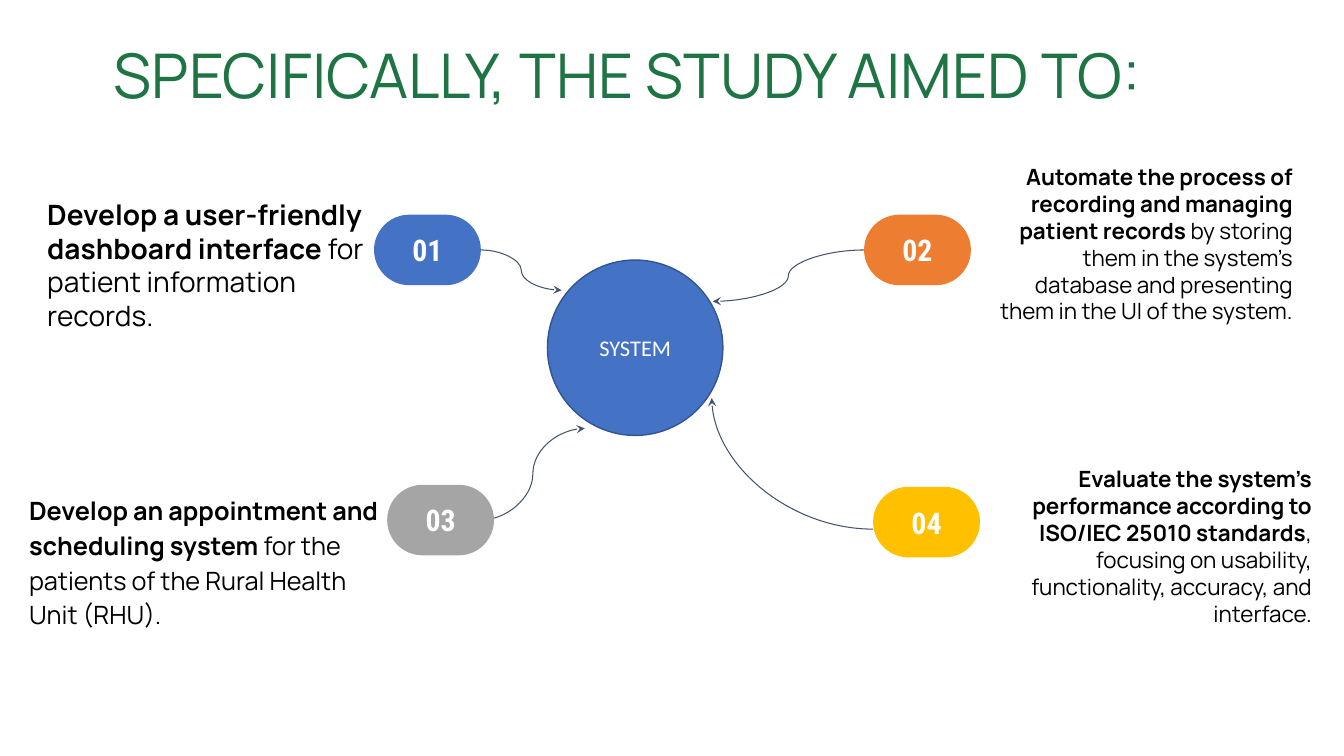
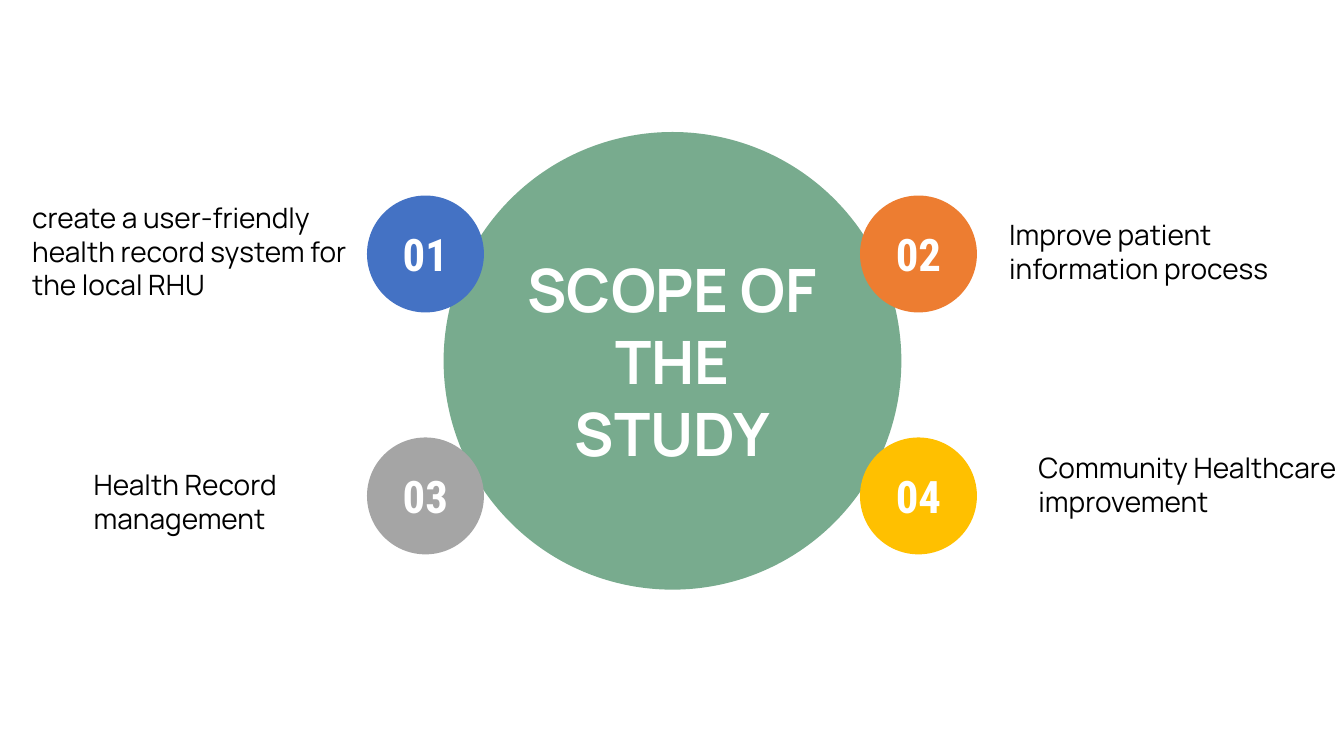
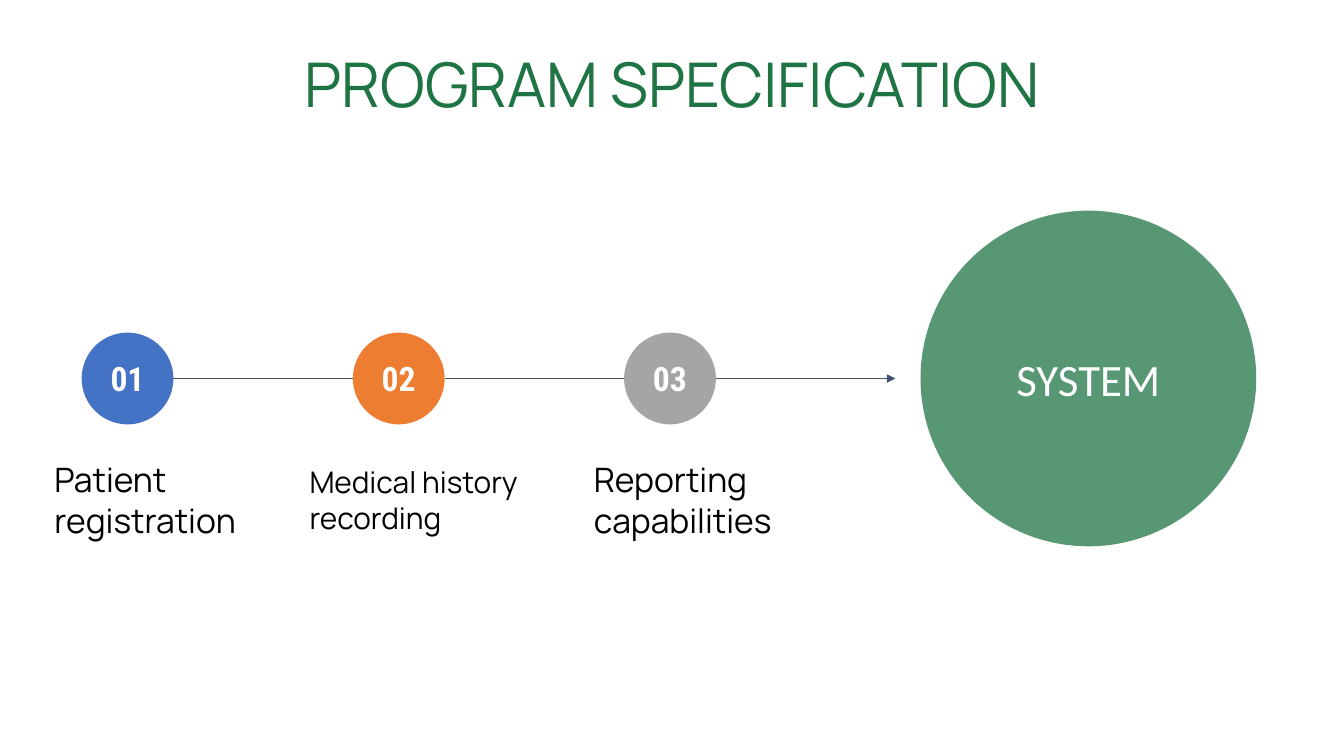
from lxml import etree
from pptx import Presentation
from pptx.dml.color import RGBColor
from pptx.enum import shapes, text
from pptx.oxml import ns
from pptx.util import Inches, Pt

GREEN = RGBColor(0x1F, 0x74, 0x43)
BLUE = RGBColor(0x44, 0x72, 0xC4)
DARK_BLUE = RGBColor(0x32, 0x54, 0x91)
ORANGE = RGBColor(0xED, 0x7D, 0x31)
GRAY = RGBColor(0xA5, 0xA5, 0xA5)
GOLD = RGBColor(0xFF, 0xC0, 0x00)
SLATE = RGBColor(0x44, 0x54, 0x6A)
WHITE = RGBColor(0xFF, 0xFF, 0xFF)
BLACK = RGBColor(0x00, 0x00, 0x00)
NUMBER_COLORS = [BLUE, ORANGE, GRAY, GOLD]

BODY_FONT = "Manrope"
NUMBER_FONT = "Roboto Condensed"
HUB_FONT = "Calibri"
WIDE_INSETS = (0.13, 0.13)
NARROW_INSETS = (0.1, 0.05)
LEFT, CENTER, RIGHT = (text.PP_ALIGN.LEFT, text.PP_ALIGN.CENTER,
                       text.PP_ALIGN.RIGHT)
TOP, MIDDLE = text.MSO_ANCHOR.TOP, text.MSO_ANCHOR.MIDDLE
OVAL = shapes.MSO_SHAPE.OVAL
PILL = shapes.MSO_SHAPE.ROUNDED_RECTANGLE


def inches(values):
    return [Inches(value) for value in values]


def write(holder, paragraphs, size, color=BLACK, font=BODY_FONT, align=LEFT,
          anchor=TOP, insets=NARROW_INSETS, spacing=None):
    """Fill a shape with paragraphs, each a list of (words, bold) runs."""
    frame = holder.text_frame
    frame.word_wrap = True
    frame.vertical_anchor = anchor
    frame.margin_left = frame.margin_right = Inches(insets[0])
    frame.margin_top = frame.margin_bottom = Inches(insets[1])
    for index, runs in enumerate(paragraphs):
        paragraph = frame.add_paragraph() if index else frame.paragraphs[0]
        paragraph.alignment = align
        if spacing:
            paragraph.line_spacing = spacing
        for words, bold in runs:
            run = paragraph.add_run()
            run.text = words
            run.font.name = font
            run.font.size = Pt(size)
            run.font.bold = bold
            run.font.color.rgb = color


def add_text(slide, box, paragraphs, size, **style):
    holder = slide.shapes.add_textbox(*inches(box))
    write(holder, paragraphs, size, **style)
    return holder


def add_title(slide, top, words, align, spacing, indent=0):
    title = add_text(slide, (0.67, top, 12, 0.54), [[(words, False)]], 44,
                     color=GREEN, align=align, anchor=MIDDLE,
                     insets=WIDE_INSETS, spacing=spacing)
    if indent:
        properties = title.text_frame.paragraphs[0]._p.get_or_add_pPr()
        properties.set("indent", str(Inches(indent)))


def add_filled(slide, kind, box, fill, opacity=100, outline=None):
    shape = slide.shapes.add_shape(kind, *inches(box))
    shape.shadow.inherit = False
    shape.fill.solid()
    shape.fill.fore_color.rgb = fill
    if opacity < 100:
        tint = shape._element.spPr.find(
            f"{ns.qn('a:solidFill')}/{ns.qn('a:srgbClr')}")
        etree.SubElement(tint, ns.qn("a:alpha")).set("val", str(opacity * 1000))
    if outline:
        shape.line.color.rgb = outline
        shape.line.width = Pt(1)
    else:
        shape.line.fill.background()
    return shape


def add_number(slide, kind, box, index, size):
    """Place the numbered marker of the item at index (from 0)."""
    marker = add_filled(slide, kind, box, NUMBER_COLORS[index])
    if kind == PILL:
        marker.adjustments[0] = 0.5
    write(marker, [[(f"{index + 1:02}", True)]], size, color=WHITE,
          font=NUMBER_FONT, align=CENTER, anchor=MIDDLE, insets=WIDE_INSETS)


def add_hub(slide, box, paragraphs, size, fill, font, bold=False, **look):
    hub = add_filled(slide, OVAL, box, fill, **look)
    write(hub, [[(words, bold)] for words in paragraphs], size, color=WHITE,
          font=font, align=CENTER, anchor=MIDDLE)


def add_link(slide, start, end, kind=shapes.MSO_CONNECTOR.STRAIGHT, head=None,
             preset=None):
    link = slide.shapes.add_connector(kind, *inches(start + end))
    link.line.color.rgb = SLATE
    link.line.width = Pt(0.75)
    properties = link._element.spPr
    if preset:
        properties.find(ns.qn("a:prstGeom")).set("prst", preset)
    if head:
        line = properties.find(ns.qn("a:ln"))
        etree.SubElement(line, ns.qn("a:tailEnd")).set("type", head)
    etree.SubElement(properties, ns.qn("a:effectLst"))


def objectives_slide(slide):
    add_title(slide, 0.41, "SPECIFICALLY, THE STUDY AIMED TO:", LEFT, 1.15,
              indent=0.33)
    objectives = [
        # pill corner, text box, size, align, spacing, bold part, plain part
        ((3.71, 2.13), (0.37, 1.91, 3.47, 1.72), 20, LEFT, None,
         "Develop a user-friendly dashboard interface ",
         "for patient information records."),
        ((8.57, 2.13), (9.78, 1.57, 3.14, 2.39), 16, RIGHT, None,
         "Automate the process of recording and managing patient records ",
         "by storing them in the system's database and presenting them in "
         "the UI of the system."),
        ((3.84, 4.81), (0.19, 4.82, 3.83, 1.48), 18, LEFT, 1.15,
         "Develop an appointment and scheduling system ",
         "for the patients of the Rural Health Unit (RHU)."),
        ((8.66, 4.83), (9.53, 4.57, 3.58, 1.96), 16, RIGHT, None,
         "Evaluate the system's performance according to ISO/IEC 25010 "
         "standards",
         ", focusing on usability, functionality, accuracy, and interface."),
    ]
    links = [
        ((4.77, 2.48), (5.57, 2.88), None),
        ((8.57, 2.48), (7.07, 2.99), None),
        ((4.77, 5.16), (5.8, 4.25), None),
        ((8.66, 5.25), (7.06, 3.95), "curvedConnector2"),
    ]
    for start, end, preset in links:
        add_link(slide, start, end, shapes.MSO_CONNECTOR.CURVE, "stealth",
                 preset)
    add_hub(slide, (5.43, 2.58, 1.74, 1.74), ["SYSTEM"], 16, BLUE, HUB_FONT,
            outline=DARK_BLUE)
    for index, (corner, box, size, align, spacing, aim, detail) in enumerate(
            objectives):
        add_number(slide, PILL, corner + (1.06, 0.7), index, 21.3)
        add_text(slide, box, [[(aim, True), (detail, False)]], size,
                 align=align, spacing=spacing)


def scope_slide(slide):
    add_hub(slide, (4.4, 1.31, 4.54, 4.54), ["SCOPE OF THE", "STUDY"], 42.7,
            GREEN, BODY_FONT, bold=True, opacity=60)
    scopes = [
        ((0.22, 1.94, 3.42, 1.11),
         ["create a user-friendly health record system for the local RHU"]),
        ((9.91, 2.11, 3.42, 0.77), ["Improve patient information process"]),
        ((0.83, 4.59, 3.42, 0.77), ["Health Record", "management"]),
        ((10.2, 4.42, 3.42, 1.11), ["Community Healthcare improvement"]),
    ]
    for index, (box, lines) in enumerate(scopes):
        row, column = divmod(index, 2)
        add_number(slide, OVAL,
                   (3.64 + 4.89 * column, 1.94 + 2.4 * row, 1.16, 1.16),
                   index, 32)
        add_text(slide, box, [[(line, False)] for line in lines], 20)


def specification_slide(slide):
    add_title(slide, 0.6, "PROGRAM SPECIFICATION", CENTER, 0.9)
    first, pitch, diameter, top = 0.81, 2.69, 0.91, 3.3
    middle = top + diameter / 2
    features = [
        ("Patient registration", 0.41, 2.41, 24),
        ("Medical history recording", 2.94, 2.7, 21.3),
        ("Reporting capabilities", 5.76, 2.7, 24),
    ]
    for index, (feature, left, width, size) in enumerate(features):
        x = first + pitch * index
        last = index == len(features) - 1
        add_link(slide, (x + diameter, middle), (x + pitch, middle),
                 head="triangle" if last else None)
        add_number(slide, OVAL, (x, top, diameter, diameter), index, 24)
        add_text(slide, (left, 4.5, width, 0.91), [[(feature, False)]], size,
                 anchor=MIDDLE, insets=WIDE_INSETS)
    add_hub(slide, (9.13, 2.09, 3.33, 3.33), ["SYSTEM"], 32, GREEN, HUB_FONT,
            opacity=74)


def main():
    deck = Presentation()
    deck.slide_width, deck.slide_height = Inches(13.33), Inches(7.5)
    for build in (objectives_slide, scope_slide, specification_slide):
        build(deck.slides.add_slide(deck.slide_layouts[6]))
    deck.save("out.pptx")


if __name__ == "__main__":
    main()
